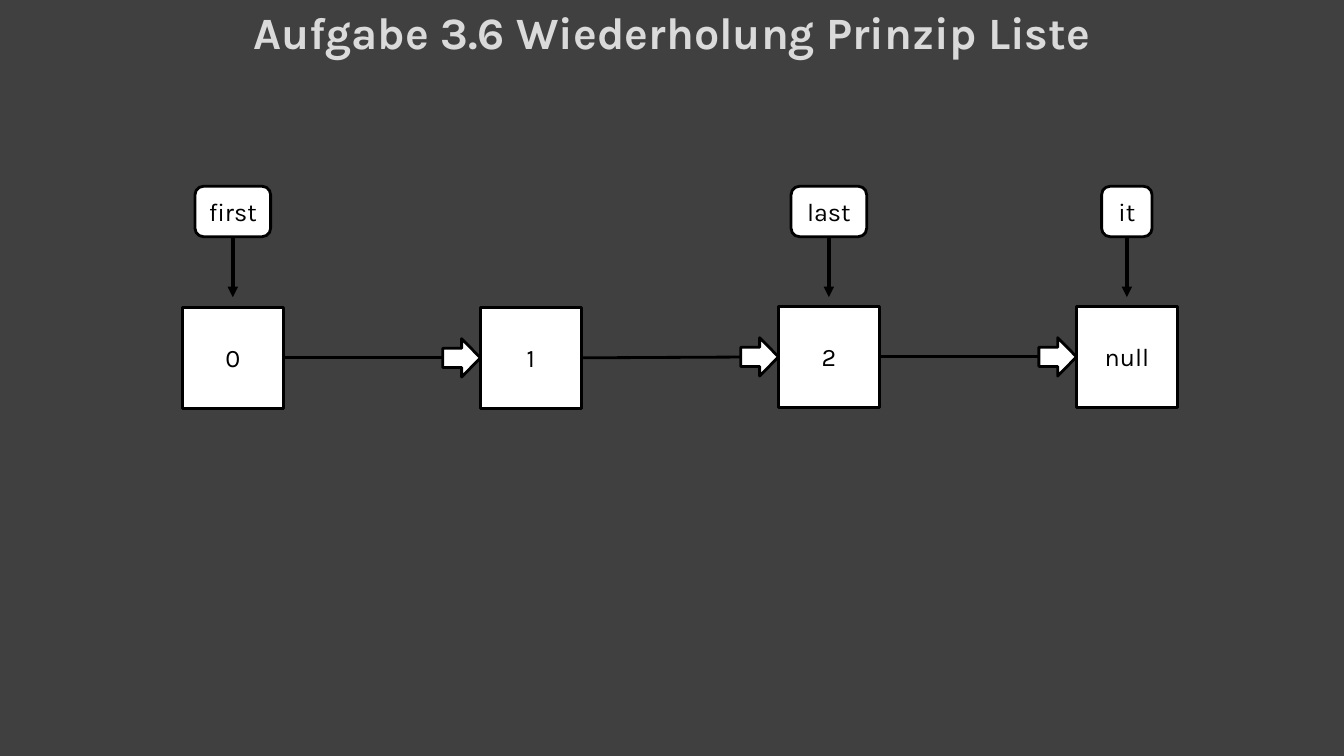
from lxml import etree
from pptx import Presentation
from pptx.dml.color import RGBColor
from pptx.enum import shapes, text
from pptx.oxml import ns
from pptx.util import Pt

BACKGROUND = RGBColor(0x40, 0x40, 0x40)
TITLE_GREY = RGBColor(0xDA, 0xDA, 0xDA)
BLACK = RGBColor(0, 0, 0)
WHITE = RGBColor(0xFF, 0xFF, 0xFF)

NODE_SIZE = 72
NODE_STEP = 212.88
LINK_ARROW_WIDTH = 26.9
LINK_ARROW_HEIGHT = 27.4
POINTER_HEIGHT = 36
POINTER_GAP = 86.4
POINTER_LENGTH = 43.2


def write_text(shape, wording, size=18, color=BLACK, bold=False,
               anchor=text.MSO_ANCHOR.MIDDLE):
    frame = shape.text_frame
    frame.word_wrap = True
    frame.vertical_anchor = anchor
    paragraph = frame.paragraphs[0]
    paragraph.alignment = text.PP_ALIGN.CENTER
    run = paragraph.add_run()
    run.text = wording
    run.font.name = "Karla"
    run.font.size = Pt(size)
    run.font.bold = bold
    run.font.color.rgb = color


def add_box(slide, kind, left, top, width, height, wording=None):
    shape = slide.shapes.add_shape(kind, Pt(left), Pt(top), Pt(width), Pt(height))
    shape.shadow.inherit = False
    shape.fill.solid()
    shape.fill.fore_color.rgb = WHITE
    shape.line.color.rgb = BLACK
    shape.line.width = Pt(2)
    if wording:
        write_text(shape, wording)


def add_line(slide, start, end, width=2, arrowhead=False):
    connector = slide.shapes.add_connector(
        shapes.MSO_CONNECTOR.STRAIGHT, *(Pt(value) for value in start + end))
    connector.line.color.rgb = BLACK
    connector.line.width = Pt(width)
    if arrowhead:
        etree.SubElement(connector.line._get_or_add_ln(), ns.qn("a:tailEnd"),
                         type="triangle")
    etree.SubElement(connector._element.spPr, ns.qn("a:effectLst"))


def add_title(slide, left, top, width, height):
    title = slide.shapes.title
    title.left, title.top = Pt(left), Pt(top)
    title.width, title.height = Pt(width), Pt(height)
    write_text(title, "Aufgabe 3.6 Wiederholung Prinzip Liste", size=32,
               color=TITLE_GREY, bold=True, anchor=text.MSO_ANCHOR.TOP)


def add_pointer(slide, center, top, width, wording):
    bottom = top + POINTER_HEIGHT
    add_line(slide, (center, bottom), (center, bottom + POINTER_LENGTH),
             width=2.5, arrowhead=True)
    add_box(slide, shapes.MSO_SHAPE.ROUNDED_RECTANGLE, center - width / 2, top,
            width, POINTER_HEIGHT, wording)


def add_linked_list(slide, left, top):
    nodes = [("0", 0.7), ("1", 0.7), ("2", 0), ("null", 0)]
    places = [(left + index * NODE_STEP, top + drop)
              for index, (_, drop) in enumerate(nodes)]
    middle = NODE_SIZE / 2
    for (x, y), (next_x, next_y) in zip(places, places[1:]):
        add_line(slide, (x + NODE_SIZE, y + middle), (next_x, next_y + middle))
    for (x, y), (wording, _) in zip(places, nodes):
        add_box(slide, shapes.MSO_SHAPE.RECTANGLE, x, y, NODE_SIZE, NODE_SIZE, wording)
    for x, y in places[1:]:
        add_box(slide, shapes.MSO_SHAPE.RIGHT_ARROW, x - LINK_ARROW_WIDTH,
                y + middle - LINK_ARROW_HEIGHT / 2, LINK_ARROW_WIDTH, LINK_ARROW_HEIGHT)
    for index, width, wording in [(0, 54, "first"), (2, 54, "last"), (3, 36, "it")]:
        add_pointer(slide, places[index][0] + middle, top - POINTER_GAP + 0.6,
                    width, wording)


def main():
    presentation = Presentation()
    presentation.slide_width = Pt(960)
    presentation.slide_height = Pt(540)
    slide = presentation.slides.add_slide(presentation.slide_layouts[5])
    slide.background.fill.solid()
    slide.background.fill.fore_color.rgb = BACKGROUND
    add_title(slide, left=130.3, top=0, width=699.8, height=46)
    add_linked_list(slide, left=130.3, top=218.9)
    presentation.save("out.pptx")


if __name__ == "__main__":
    main()
